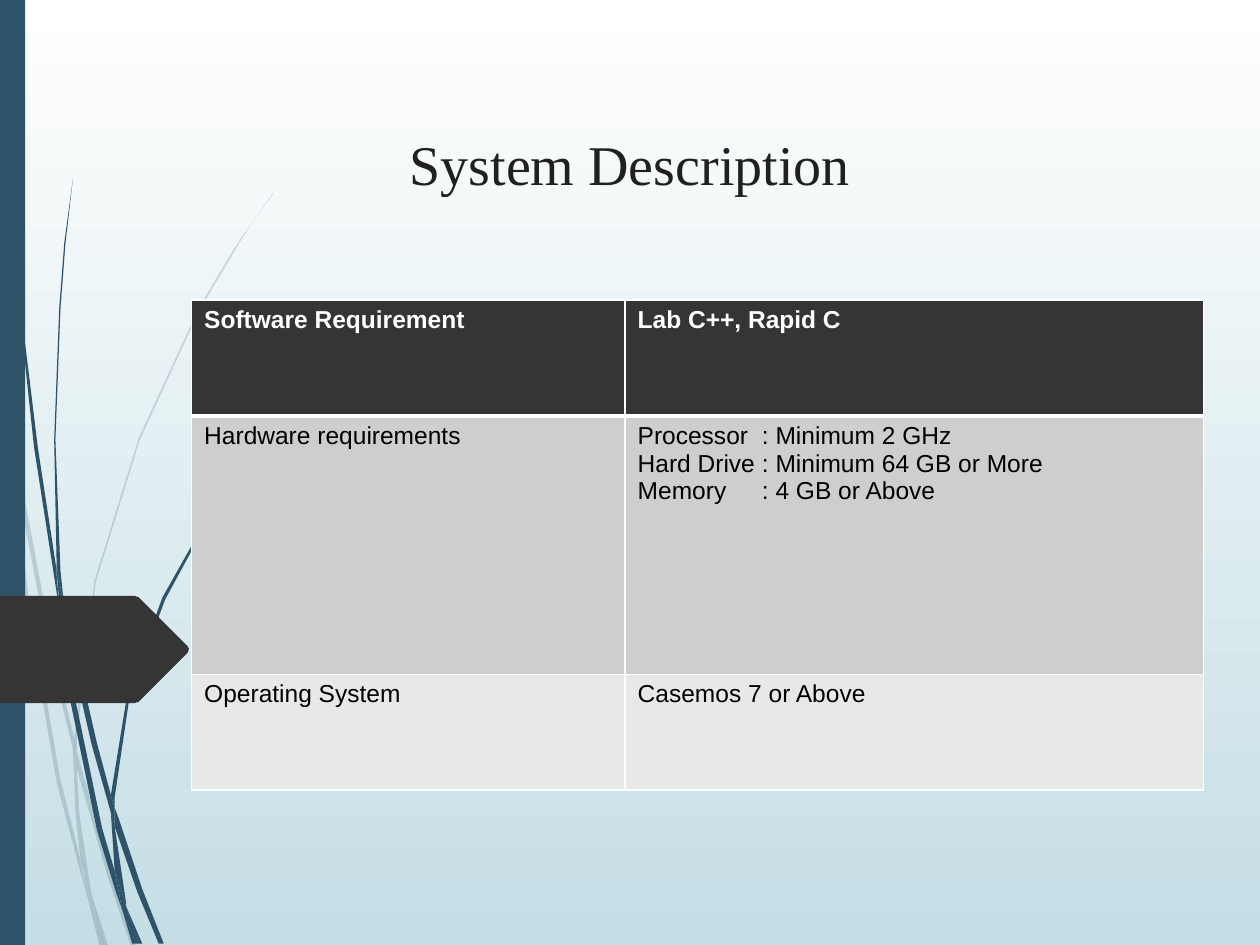
from dataclasses import dataclass

from lxml import etree
from pptx import Presentation
from pptx.dml.color import RGBColor
from pptx.enum.shapes import MSO_SHAPE
from pptx.enum.text import MSO_ANCHOR, PP_ALIGN
from pptx.oxml.ns import qn
from pptx.util import Pt

RECTANGLE = MSO_SHAPE.RECTANGLE
BOTTOM = MSO_ANCHOR.BOTTOM
CENTER = PP_ALIGN.CENTER
TITLE_ONLY = 5


@dataclass(frozen=True)
class Theme:
    sky_top: str = "FFFFFF"
    sky_bottom: str = "C5DEE5"
    grass: str = "2E5369"
    dark: str = "353535"
    title: str = "202020"
    white: str = "FFFFFF"
    black: str = "000000"
    band_dark: str = "CECECE"
    band_light: str = "E8E8E8"
    title_font: str = "Times New Roman"
    body_font: str = "Arial"
    title_size: int = 32
    body_size: int = 14


theme = Theme()
GRID = Pt(0.72)
TAB_STOP = Pt(71)

PALE_BLADES = [
    [(8, 350), (6, 322), (0, 282), (0, 299), (7, 344)],
    [(40, 522), (59, 599), (59, 586), (43, 520), (10, 345), (12, 376)],
    [(64, 607), (61, 596), (61, 610), (85, 694), (104, 751), (108, 751), (88, 692)],
    [(83, 751), (86, 751), (73, 711)],
    [(64, 683), (48, 619), (22, 469), (12, 376), (8, 350), (19, 470), (45, 621),
     (64, 693), (70, 714), (69, 707)],
    [(58, 599), (60, 646), (64, 683), (67, 692), (73, 711), (72, 706), (63, 646),
     (61, 610), (61, 608)],
    [(61, 584), (76, 462), (111, 349), (159, 245), (187, 198), (201, 175), (217, 154),
     (217, 153), (201, 175), (186, 197), (158, 244), (110, 348), (75, 461), (59, 584),
     (59, 586), (61, 596)],
    [(70, 714), (79, 751), (82, 751)],
    [(61, 608), (61, 610), (61, 596), (59, 586), (58, 599)],
    [(67, 692), (65, 683), (69, 707), (70, 714), (82, 751), (83, 751), (73, 711)],
]
DARK_BLADES = [
    [(5, 110), (14, 233), (27, 355), (46, 477), (47, 481), (45, 457), (45, 453),
     (30, 355), (15, 232), (6, 109), (4, 48), (3, 0), (2, 0), (3, 48)],
    [(73, 592), (88, 645), (88, 633), (88, 631), (77, 590), (50, 472), (53, 505)],
    [(94, 649), (91, 641), (91, 656), (109, 708), (126, 749), (130, 749), (113, 706)],
    [(91, 691), (81, 657), (60, 556), (53, 505), (47, 477), (56, 557), (77, 659),
     (92, 708), (97, 722), (96, 717)],
    [(50, 472), (48, 453), (44, 349), (48, 245), (52, 193), (58, 141), (51, 193),
     (47, 245), (43, 349), (45, 449), (49, 472)],
    [(110, 749), (113, 749), (100, 719)],
    [(47, 477), (53, 505), (50, 472), (49, 472), (45, 449), (45, 453)],
    [(91, 633), (103, 552), (131, 476), (169, 406), (191, 374), (203, 359), (216, 344),
     (215, 344), (203, 358), (191, 373), (168, 405), (129, 474), (101, 551), (88, 631),
     (91, 641)],
    [(97, 722), (105, 749), (108, 749)],
    [(88, 645), (91, 691), (96, 706), (100, 719), (100, 716), (91, 656), (90, 651)],
    [(88, 645), (90, 651), (91, 656), (91, 641), (88, 631), (88, 633)],
    [(96, 706), (91, 691), (96, 717), (97, 722), (108, 749), (110, 749), (100, 719)],
]
ARROW = [(-3, 473), (107, 473), (110, 474), (149, 513), (150, 515), (149, 518),
         (110, 557), (107, 558), (-3, 558)]


def paint(shape, color, opacity=100):
    shape.shadow.inherit = False
    shape.line.fill.background()
    shape.fill.solid()
    shape.fill.fore_color.rgb = RGBColor.from_string(color)
    if opacity < 100:
        color_node = shape.fill._xPr.find(f".//{qn('a:srgbClr')}")
        etree.SubElement(color_node, qn("a:alpha"), val=str(opacity * 1000))


def format_font(font, color, **values):
    font.color.rgb = RGBColor.from_string(color)
    for name, value in values.items():
        setattr(font, name, value)


presentation = Presentation()
presentation.slide_width = Pt(720)
presentation.slide_height = Pt(540)
slide = presentation.slides.add_slide(presentation.slide_layouts[TITLE_ONLY])

background = slide.background.fill
background.gradient()
background.gradient_angle = 270
for stop, color, position in zip(
        background.gradient_stops, (theme.sky_top, theme.sky_bottom), (0, 1)):
    stop.color.rgb = RGBColor.from_string(color)
    stop.position = position

for outlines, color, opacity in (
        (PALE_BLADES, theme.grass, 20),
        (DARK_BLADES, theme.grass, 100),
        ([ARROW], theme.dark, 100)):
    if color == theme.dark:
        side_bar = slide.shapes.add_shape(RECTANGLE, 0, 0, Pt(14.4), Pt(540))
        paint(side_bar, theme.grass)
    for start, *points in outlines:
        builder = slide.shapes.build_freeform(*start, scale=GRID)
        builder.add_line_segments(points, close=True)
        paint(builder.convert_to_shape(), color, opacity)

title = slide.shapes.title
for name, value in dict(left=187, top=60.5, width=346, height=55.5).items():
    setattr(title, name, Pt(value))
title.text_frame.text = "System Description"
title.text_frame.vertical_anchor = BOTTOM
paragraph = title.text_frame.paragraphs[0]
paragraph.alignment = CENTER
format_font(paragraph.runs[0].font, theme.title,
            name=theme.title_font, size=Pt(theme.title_size))

rows = [
    (66.3, theme.dark, theme.white, ("Software Requirement", "Lab C++, Rapid C")),
    (147.6, theme.band_dark, theme.black, (
        "Hardware requirements",
        "Processor\t: Minimum 2 GHz\n"
        "Hard Drive\t: Minimum 64 GB or More\n"
        "Memory\t: 4 GB or Above")),
    (66.3, theme.band_light, theme.black, ("Operating System", "Casemos 7 or Above")),
]
table = slide.shapes.add_table(
    len(rows), 2, Pt(109.5), Pt(171.4), Pt(578.2), Pt(280.2)).table
for column, width in zip(table.columns, (247.7, 330.5)):
    column.width = Pt(width)

for row_index, (height, fill, color, texts) in enumerate(rows):
    table.rows[row_index].height = Pt(height)
    borders = dict(lnL=1, lnR=1, lnT=3 if row_index == 1 else 1,
                   lnB=3 if row_index == 0 else 1)
    for column_index, text in enumerate(texts):
        cell = table.cell(row_index, column_index)
        cell.text = text
        properties = cell._tc.get_or_add_tcPr()
        for side, width in borders.items():
            line = etree.SubElement(properties, qn(f"a:{side}"), w=str(Pt(width)))
            solid = etree.SubElement(line, qn("a:solidFill"))
            etree.SubElement(solid, qn("a:srgbClr"), val=theme.white)
        cell.fill.solid()
        cell.fill.fore_color.rgb = RGBColor.from_string(fill)
        for paragraph in cell.text_frame.paragraphs:
            if "\t" in text:
                tabs = etree.SubElement(paragraph._p.get_or_add_pPr(), qn("a:tabLst"))
                etree.SubElement(tabs, qn("a:tab"), pos=str(TAB_STOP), algn="l")
            format_font(paragraph.runs[0].font, color, name=theme.body_font,
                        size=Pt(theme.body_size), bold=row_index == 0)

presentation.save("out.pptx")
